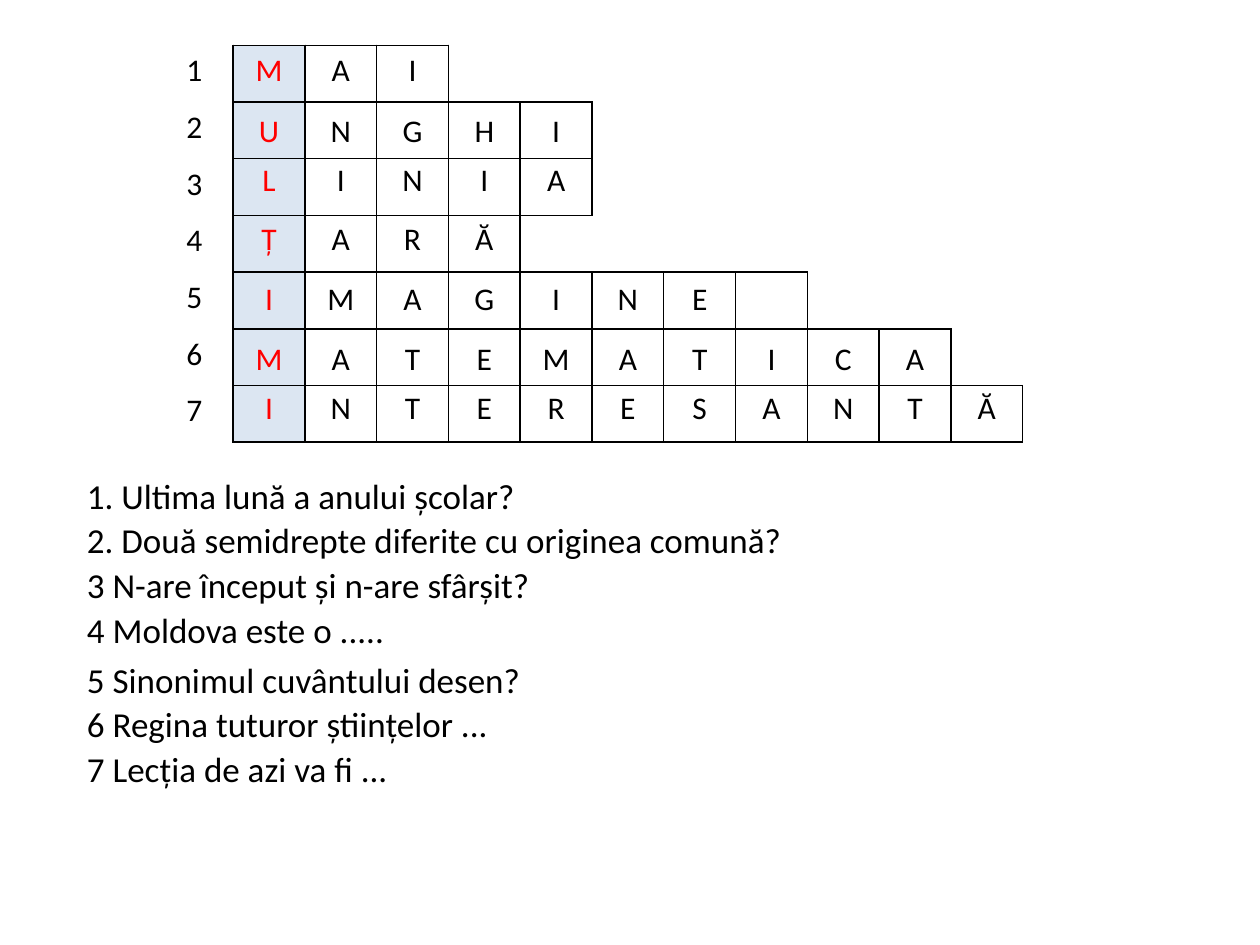
from dataclasses import dataclass

from lxml import etree
from pptx import Presentation
from pptx.dml.color import RGBColor
from pptx.enum.text import MSO_AUTO_SIZE, PP_ALIGN
from pptx.oxml.ns import qn
from pptx.util import Inches, Pt

CENTER, LEFT = PP_ALIGN.CENTER, PP_ALIGN.LEFT
NO_AUTOFIT = MSO_AUTO_SIZE.NONE


@dataclass(frozen=True)
class Theme:
    font: str = "Calibri"
    ink: str = "000000"
    key: str = "FF0000"
    key_fill: str = "DCE6F2"
    letter_size: int = 18
    clue_size: int = 20
    border: float = 1


THEME = Theme()
CELL_W, CELL_H, NUMBER_W = 0.57, 0.45, 0.47
GRID_LEFT, GRID_TOP, GRID_COLS = 1.38, 0.36, 12

# Answer, boxes framed in the grid, top of its letters, number of letter cells
ANSWERS = [
    ("MAI", 3, 0.36, 3),
    ("UNGHI", 5, 0.84, 5),
    ("LINIA", 5, 1.23, 5),
    ("ȚARĂ", 4, 1.70, 4),
    ("IMAGINE", 8, 2.18, 9),
    ("MATEMATICA", 10, 2.65, 10),
    ("INTERESANTĂ", 11, 3.04, 11),
]
CLUES = [
    "1. Ultima lună a anului școlar?",
    "2. Două semidrepte diferite cu originea comună?",
    "3 N-are început și n-are sfârșit?",
    "4 Moldova este o .....",
    "5 Sinonimul cuvântului desen?",
    "6 Regina tuturor științelor ...",
    "7 Lecția de azi va fi ...",
]


def write(paragraph, text, size=THEME.letter_size, color=THEME.ink, align=LEFT):
    paragraph.alignment = align
    run = paragraph.add_run()
    run.text = text
    run.font.name = THEME.font
    run.font.size = Pt(size)
    run.font.color.rgb = RGBColor.from_string(color)


def style_cell(cell, sides="", fill=None):
    """Frame the named sides (L, R, T, B), clear the others, then fill."""
    properties = cell._tc.get_or_add_tcPr()
    for side in "LRTB":
        line = etree.SubElement(properties, qn(f"a:ln{side}"), w=str(Pt(THEME.border)))
        if side in sides:
            solid = etree.SubElement(line, qn("a:solidFill"))
            etree.SubElement(solid, qn("a:srgbClr"), val=THEME.ink)
        else:
            etree.SubElement(line, qn("a:noFill"))
    if fill:
        cell.fill.solid()
        cell.fill.fore_color.rgb = RGBColor.from_string(fill)
    else:
        cell.fill.background()


presentation = Presentation()
presentation.slide_width, presentation.slide_height = Inches(10), Inches(7.5)
slide = presentation.slides.add_slide(presentation.slide_layouts[1])
title = slide.shapes.title._element
title.getparent().remove(title)

# Crossword grid with row numbers
grid = slide.shapes.add_table(
    len(ANSWERS), GRID_COLS + 1, Inches(GRID_LEFT), Inches(GRID_TOP),
    Inches(NUMBER_W + GRID_COLS * CELL_W), Inches(len(ANSWERS) * CELL_H)).table
grid.first_row = grid.horz_banding = False
for column in grid.columns:
    column.width = Inches(CELL_W)
grid.columns[0].width = Inches(NUMBER_W)

boxes = {(row, col) for row, (_, framed, _, _) in enumerate(ANSWERS)
         for col in range(1, framed + 1)}
for row in range(len(ANSWERS)):
    grid.rows[row].height = Inches(CELL_H)
    write(grid.cell(row, 0).text_frame.paragraphs[0], str(row + 1))
    for col in range(GRID_COLS + 1):
        neighbours = {"L": (row, col - 1), "R": (row, col + 1),
                      "T": (row - 1, col), "B": (row + 1, col)}
        # An edge shows when a box lies on either side of it
        sides = [side for side, place in neighbours.items()
                 if (row, col) in boxes or place in boxes]
        style_cell(grid.cell(row, col), sides, THEME.key_fill if col == 1 else None)

# Clues
clues = slide.placeholders[1]
clues.left, clues.top = Inches(0.59), Inches(3.75)
clues.width, clues.height = Inches(9), Inches(2.74)
clue_frame = clues.text_frame
clue_frame.auto_size = NO_AUTOFIT
for index, clue in enumerate(CLUES):
    paragraph = clue_frame.paragraphs[0] if index == 0 else clue_frame.add_paragraph()
    write(paragraph, clue, size=THEME.clue_size)
    paragraph.line_spacing = 1.0 if index == 4 else 0.9
    paragraph_format = paragraph._p.get_or_add_pPr()
    paragraph_format.set("marL", "0")
    paragraph_format.set("indent", "0")
    etree.SubElement(paragraph_format, qn("a:buNone"))

# Answers, one strip of letters per row
for row, (answer, _, top, cells) in enumerate(ANSWERS):
    strip = slide.shapes.add_table(
        1, cells, Inches(GRID_LEFT + NUMBER_W), Inches(top),
        Inches(cells * CELL_W), Inches(CELL_H)).table
    strip.first_row = strip.horz_banding = False
    for col in range(cells):
        strip.columns[col].width = Inches(CELL_W)
        first_key = row == 0 and col == 0
        style_cell(strip.cell(0, col), "LRTB" if row == 0 else "",
                   THEME.key_fill if first_key else None)
    for col, letter in enumerate(answer):
        write(strip.cell(0, col).text_frame.paragraphs[0], letter,
              color=THEME.key if col == 0 else THEME.ink, align=CENTER)

presentation.save("out.pptx")
